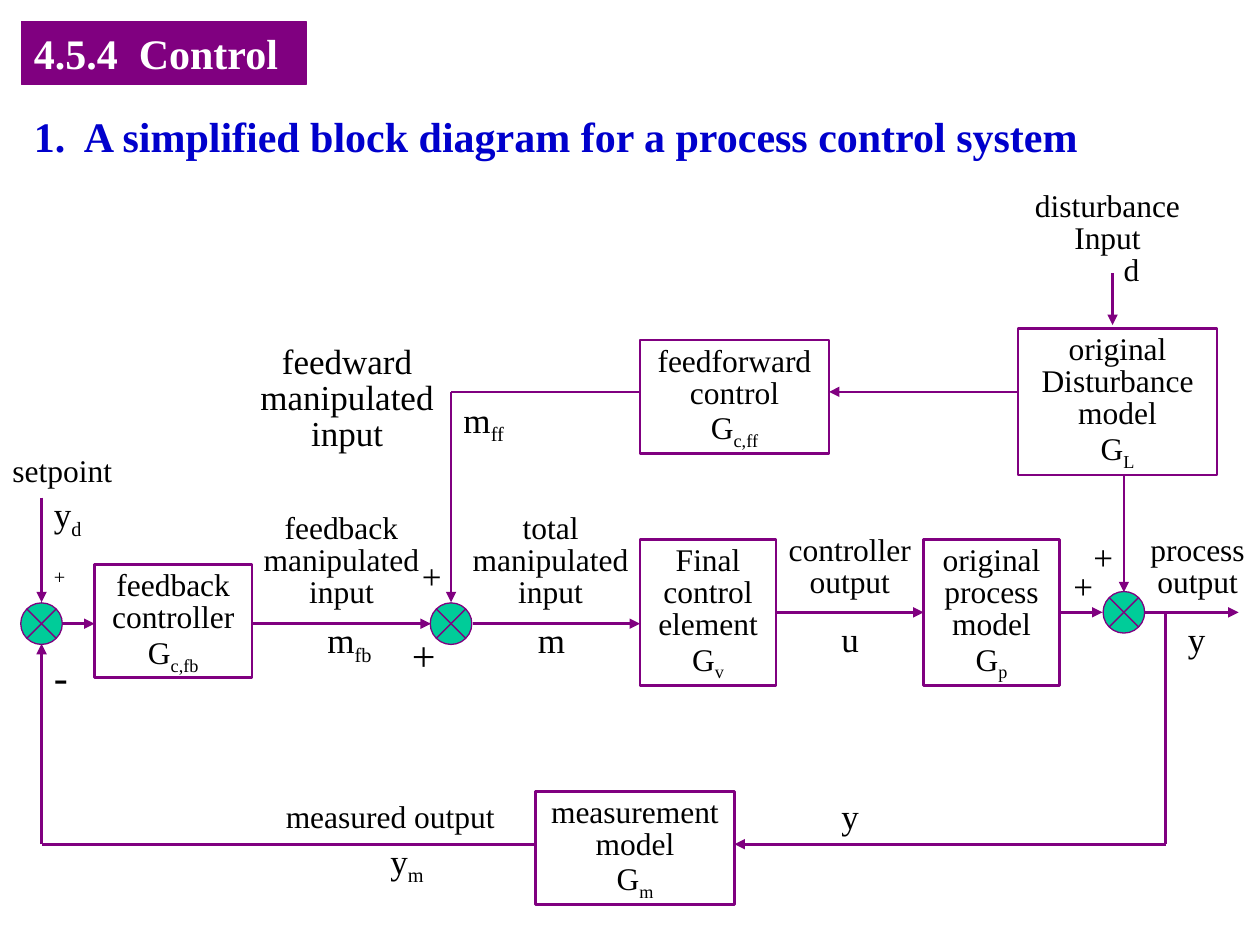
from itertools import pairwise

from lxml.etree import SubElement
from pptx import Presentation
from pptx.dml.color import RGBColor
from pptx.enum.shapes import MSO_CONNECTOR, MSO_SHAPE
from pptx.enum.text import MSO_ANCHOR, MSO_AUTO_SIZE, PP_ALIGN
from pptx.oxml.ns import qn
from pptx.util import Inches, Pt

THEME = {
    "font": "Times New Roman",
    "purple": RGBColor(0x80, 0x00, 0x80),
    "green": RGBColor(0x00, 0xCC, 0x99),
    "blue": RGBColor(0x00, 0x00, 0xCC),
    "white": RGBColor(0xFF, 0xFF, 0xFF),
    "black": RGBColor(0x00, 0x00, 0x00),
    "heading": 24,
    "symbol": 20,
    "body": 18,
    "path_width": 1.5,
    "outline_width": 0.75,
}

SECTION = ((0.17, 0.17, 2.26, 0.5), ["4.5.4  Control"])
HEADING = ((0.17, 0.83, 8.58, 0.5),
           ["1.  A simplified block diagram for a process control system"])

BLOCKS = [
    ((0.75, 4.48, 1.25, 0.9), ["feedback", "controller", "G_c,fb"]),
    ((5.08, 4.28, 1.08, 1.16), ["Final", "control", "element", "G_v"]),
    ((7.33, 4.28, 1.08, 1.16), ["original", "process", "model", "G_p"]),
    ((5.08, 2.7, 1.5, 0.9), ["feedforward", "control", "G_c,ff"]),
    ((8.08, 2.61, 1.58, 1.16), ["original", "Disturbance", "model", "G_L"]),
    ((4.25, 6.28, 1.58, 0.9), ["measurement", "model", "G_m"]),
]

CAPTIONS = [
    ((1.92, 4.03, 1.58, 0.87), ["feedback", "manipulated", "input"], "body"),
    ((3.58, 4.03, 1.58, 0.87), ["total", "manipulated", "input"], "body"),
    ((6.08, 4.2, 1.33, 0.61), ["controller", "output"], "body"),
    ((8.92, 4.2, 1.17, 0.61), ["process", "output"], "body"),
    ((1.92, 2.7, 1.67, 0.95), ["feedward", "manipulated", "input"], "symbol"),
    ((8, 1.47, 1.58, 0.87), ["disturbance", "Input", "d"], "body"),
]

LABELS = [
    ((0, 3.53, 1.25, 0.4), ["setpoint"], "body"),
    ((2.17, 6.28, 2, 0.4), ["measured output"], "body"),
    ((0.33, 3.86, 0.58, 0.86), ["y_d", "_+"], "symbol"),
    ((2.5, 4.86, 0.75, 0.48), ["m_fb"], "symbol"),
    ((3.58, 3.11, 0.58, 0.48), ["m_ff"], "symbol"),
    ((4.17, 4.86, 0.58, 0.44), ["m"], "symbol"),
    ((6.58, 4.85, 0.5, 0.44), ["u"], "symbol"),
    ((9.33, 4.85, 0.42, 0.44), ["y"], "symbol"),
    ((6.58, 6.26, 0.42, 0.44), ["y"], "symbol"),
    ((3, 6.61, 0.75, 0.48), ["y_m"], "symbol"),
    ((3.25, 4.35, 0.42, 0.44), ["+"], "symbol"),
    ((8.58, 4.2, 0.42, 0.44), ["+"], "symbol"),
    ((8.42, 4.43, 0.42, 0.44), ["+"], "symbol"),
    ((3.17, 4.95, 0.33, 0.5), ["+"], "heading"),
    ((0.33, 5.11, 0.42, 0.5), ["-"], "heading"),
]
INDENTS = {"d": 0.38}

CONTROL_Y, PROCESS_Y, FORWARD_Y, MEASURE_Y = 4.95, 4.86, 3.11, 6.7
SETPOINT_X, TOTAL_X, OUTPUT_X, BRANCH_X = 0.33, 3.58, 8.92, 9.25
JUNCTION_SIZE = 0.33
JUNCTIONS = [(SETPOINT_X, CONTROL_Y), (TOTAL_X, CONTROL_Y), (OUTPUT_X, PROCESS_Y)]

ROUTES = [
    [(SETPOINT_X, 3.95), (SETPOINT_X, 4.78)],
    [(0.5, CONTROL_Y), (0.75, CONTROL_Y)],
    [(2, CONTROL_Y), (3.42, CONTROL_Y)],
    [(3.75, CONTROL_Y), (5.08, CONTROL_Y)],
    [(6.17, PROCESS_Y), (7.33, PROCESS_Y)],
    [(8.42, PROCESS_Y), (8.75, PROCESS_Y)],
    [(9.08, PROCESS_Y), (9.83, PROCESS_Y)],
    [(8.83, 2.17), (8.83, 2.58)],
    [(OUTPUT_X, 3.78), (OUTPUT_X, 4.7)],
    [(8.08, FORWARD_Y), (6.58, FORWARD_Y)],
    [(5.08, FORWARD_Y), (TOTAL_X, FORWARD_Y), (TOTAL_X, 4.78)],
    [(BRANCH_X, PROCESS_Y), (BRANCH_X, MEASURE_Y), (5.83, MEASURE_Y)],
    [(4.25, MEASURE_Y), (SETPOINT_X, MEASURE_Y), (SETPOINT_X, 5.11)],
]


def apply(target, values):
    for name, value in values.items():
        setattr(target, name, value)


def write_text(shape, lines, size, color="black", bold=False, centered=False):
    frame = shape.text_frame
    apply(frame, {"word_wrap": True, "vertical_anchor": MSO_ANCHOR.TOP,
                  "auto_size": MSO_AUTO_SIZE.SHAPE_TO_FIT_TEXT})
    for index, line in enumerate(lines):
        paragraph = frame.add_paragraph() if index else frame.paragraphs[0]
        paragraph.alignment = PP_ALIGN.CENTER if centered else PP_ALIGN.LEFT
        if centered:
            paragraph.line_spacing = 0.85
        if line in INDENTS:
            paragraph._p.get_or_add_pPr().set("marL", str(Inches(INDENTS[line])))
        base, _, subscript = line.partition("_")
        for text, lowered in ((base, False), (subscript, True)):
            if not text:
                continue
            run = paragraph.add_run()
            run.text = text
            apply(run.font, {"name": THEME["font"], "size": Pt(THEME[size]), "bold": bold})
            run.font.color.rgb = THEME[color]
            if lowered:
                run.font._element.set("baseline", "-25000")


def add_text(slide, box, lines, size, **style):
    shape = slide.shapes.add_textbox(*map(Inches, box))
    write_text(shape, lines, size, **style)


def add_outline(slide, kind, box, width, fill=None):
    shape = slide.shapes.add_shape(kind, *map(Inches, box))
    shape.shadow.inherit = False
    if fill:
        shape.fill.solid()
        shape.fill.fore_color.rgb = THEME[fill]
    else:
        shape.fill.background()
    shape.line.color.rgb = THEME["purple"]
    shape.line.width = Pt(THEME[width])
    return shape


def add_route(slide, points):
    for start, end in pairwise(points):
        connector = slide.shapes.add_connector(
            MSO_CONNECTOR.STRAIGHT, *map(Inches, (*start, *end)))
        connector.line.color.rgb = THEME["purple"]
        connector.line.width = Pt(THEME["path_width"])
        if end == points[-1]:
            SubElement(connector.line._get_or_add_ln(), qn("a:tailEnd"), type="triangle")
        SubElement(connector._element.spPr, qn("a:effectLst"))


def main():
    presentation = Presentation()
    apply(presentation, {"slide_width": Inches(10), "slide_height": Inches(7.5)})
    slide = presentation.slides.add_slide(presentation.slide_layouts[6])

    box, lines = SECTION
    section = add_outline(slide, MSO_SHAPE.RECTANGLE, box, "outline_width", "purple")
    write_text(section, lines, "heading", color="white", bold=True)
    add_text(slide, *HEADING, "heading", color="blue", bold=True)

    for box, lines in BLOCKS:
        block = add_outline(slide, MSO_SHAPE.RECTANGLE, box, "path_width")
        write_text(block, lines, "body", centered=True)
    for x, y in JUNCTIONS:
        box = (x - JUNCTION_SIZE / 2, y - JUNCTION_SIZE / 2, JUNCTION_SIZE, JUNCTION_SIZE)
        add_outline(slide, MSO_SHAPE.FLOWCHART_SUMMING_JUNCTION, box, "outline_width", "green")
    for points in ROUTES:
        add_route(slide, points)
    for caption in CAPTIONS:
        add_text(slide, *caption, centered=True)
    for label in LABELS:
        add_text(slide, *label)

    presentation.save("out.pptx")


if __name__ == "__main__":
    main()
